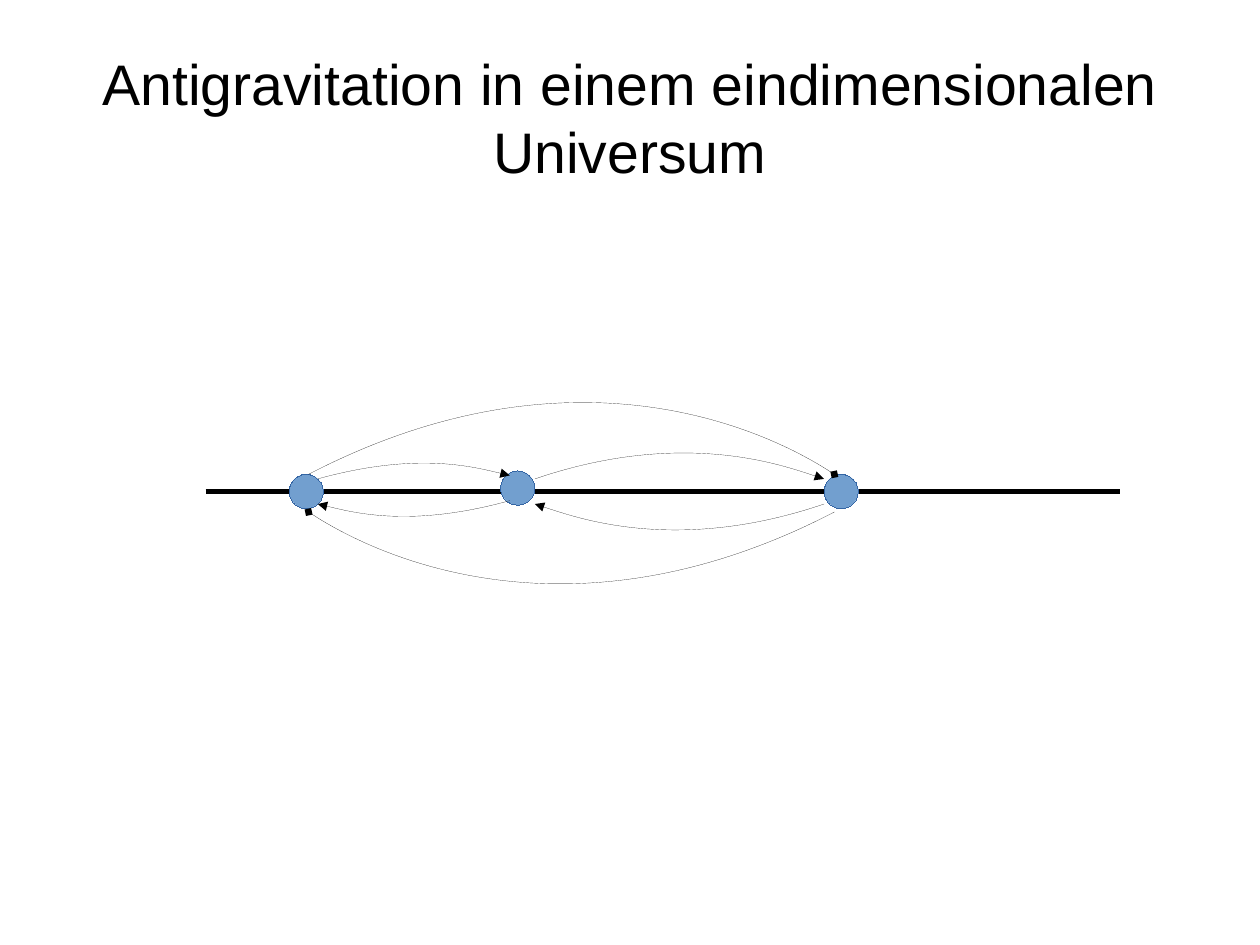
"""Build a slide on antigravity between three bodies on a line."""
from typing import Any, NamedTuple

import pptx
import pptx.dml.color
import pptx.enum.shapes
import pptx.enum.text
import pptx.oxml
import pptx.oxml.ns
import pptx.util
from pptx.util import Inches

HUES = {"ink": "000000", "body": "729FCF", "edge": "3465A4"}


class Point(NamedTuple):
    x: float
    y: float


class Arc(NamedTuple):
    start: Point
    bend: Point
    end: Point
    head: str
    span: float


BODIES = [Point(4.38, 4.12), Point(2.53, 4.15), Point(7.21, 4.15)]
ARCS = [
    Arc(Point(2.78, 4.19), Point(3.68, 3.94), Point(4.46, 4.16), "triangle", 8.57),
    Arc(Point(2.7, 4.15), Point(5.3, 2.8), Point(7.3, 4.15), "diamond", 8.63),
    Arc(Point(4.68, 4.19), Point(6, 3.74), Point(7.21, 4.19), "triangle", 8.6),
]


def style(item: Any, looks: dict[str, Any]) -> None:
    for name, value in looks.items():
        setattr(item, name, value)


def color(name: str) -> pptx.dml.color.RGBColor:
    return pptx.dml.color.RGBColor.from_string(HUES[name])


def stroke(item: Any, hue: str, width: float) -> Any:
    item.line.color.rgb = color(hue)
    line = item.element.spPr.find(pptx.oxml.ns.qn("a:ln"))
    line.set("w", str(pptx.util.Pt(width)))
    return line


def mirror(arc: Arc) -> Arc:
    def turn(point: Point) -> Point:
        return Point(arc.start.x + arc.end.x - point.x, arc.span - point.y)

    return Arc(turn(arc.start), turn(arc.bend), turn(arc.end), arc.head, arc.span)


def at(arc: Arc, t: float) -> Point:
    a, b = (1 - t) ** 3, 3 * t * (1 - t) ** 2
    return Point(*(a * s + b * m + (1 - a - b) * e
                   for s, m, e in zip(arc.start, arc.bend, arc.end)))


def add_arc(shapes: Any, arc: Arc) -> None:
    steps = [at(arc, i / 100) for i in range(101)]
    peak = max(steps, key=lambda point: abs(point.y - arc.start.y))
    pen = shapes.build_freeform(Inches(arc.start.x), Inches(arc.start.y))
    pen.add_line_segments([(Inches(p.x), Inches(p.y)) for p in (peak, arc.end)], close=False)
    curve = pen.convert_to_shape()
    curve.shadow.inherit = False
    curve.fill.background()
    line = stroke(curve, "ink", 0)
    tag = pptx.oxml.ns.qn
    line.append(line.makeelement(tag("a:tailEnd"), {"type": arc.head}))
    first, last = curve.element.findall(".//" + tag("a:lnTo"))
    cubic = first.makeelement(tag("a:cubicBezTo"), {})
    for point in (arc.bend, arc.end, arc.end):
        cubic.append(cubic.makeelement(tag("a:pt"), {
            "x": str(Inches(point.x) - curve.left),
            "y": str(Inches(point.y) - curve.top)}))
    first.getparent().replace(first, cubic)
    last.getparent().remove(last)


def add_axis(shapes: Any) -> None:
    axis = shapes.add_connector(
        pptx.enum.shapes.MSO_CONNECTOR.STRAIGHT,
        Inches(1.8), Inches(4.3), Inches(9.8), Inches(4.3))
    stroke(axis, "ink", 3)
    axis.element.spPr.append(pptx.oxml.parse_xml(
        f"<a:effectLst {pptx.oxml.ns.nsdecls('a')}/>"))


def add_body(shapes: Any, spot: Point) -> None:
    body = shapes.add_shape(
        pptx.enum.shapes.MSO_SHAPE.OVAL,
        Inches(spot.x), Inches(spot.y), Inches(0.3), Inches(0.3))
    body.shadow.inherit = False
    body.fill.solid()
    body.fill.fore_color.rgb = color("body")
    stroke(body, "edge", 0)


def add_title(shapes: Any, text: str) -> None:
    box = shapes.add_textbox(Inches(0.55), Inches(0.33), Inches(9.92), Inches(1.38))
    frame = box.text_frame
    style(frame, {
        "word_wrap": True, "vertical_anchor": pptx.enum.text.MSO_ANCHOR.MIDDLE,
        "margin_left": 0, "margin_top": 0, "margin_right": 0, "margin_bottom": 0})
    line = frame.paragraphs[0]
    line.alignment = pptx.enum.text.PP_ALIGN.CENTER
    run = line.add_run()
    run.text = text
    style(run.font, {"name": "Arial", "size": pptx.util.Pt(36)})
    run.font.color.rgb = color("ink")


def main() -> None:
    deck = pptx.Presentation()
    deck.slide_width = Inches(28 / 2.54)
    deck.slide_height = Inches(21 / 2.54)
    shapes = deck.slides.add_slide(deck.slide_layouts[6]).shapes
    add_axis(shapes)
    for spot in BODIES:
        add_body(shapes, spot)
    for arc in ARCS:
        add_arc(shapes, arc)
        add_arc(shapes, mirror(arc))
    add_title(shapes, "Antigravitation in einem eindimensionalen Universum")
    deck.save("out.pptx")


if __name__ == "__main__":
    main()
